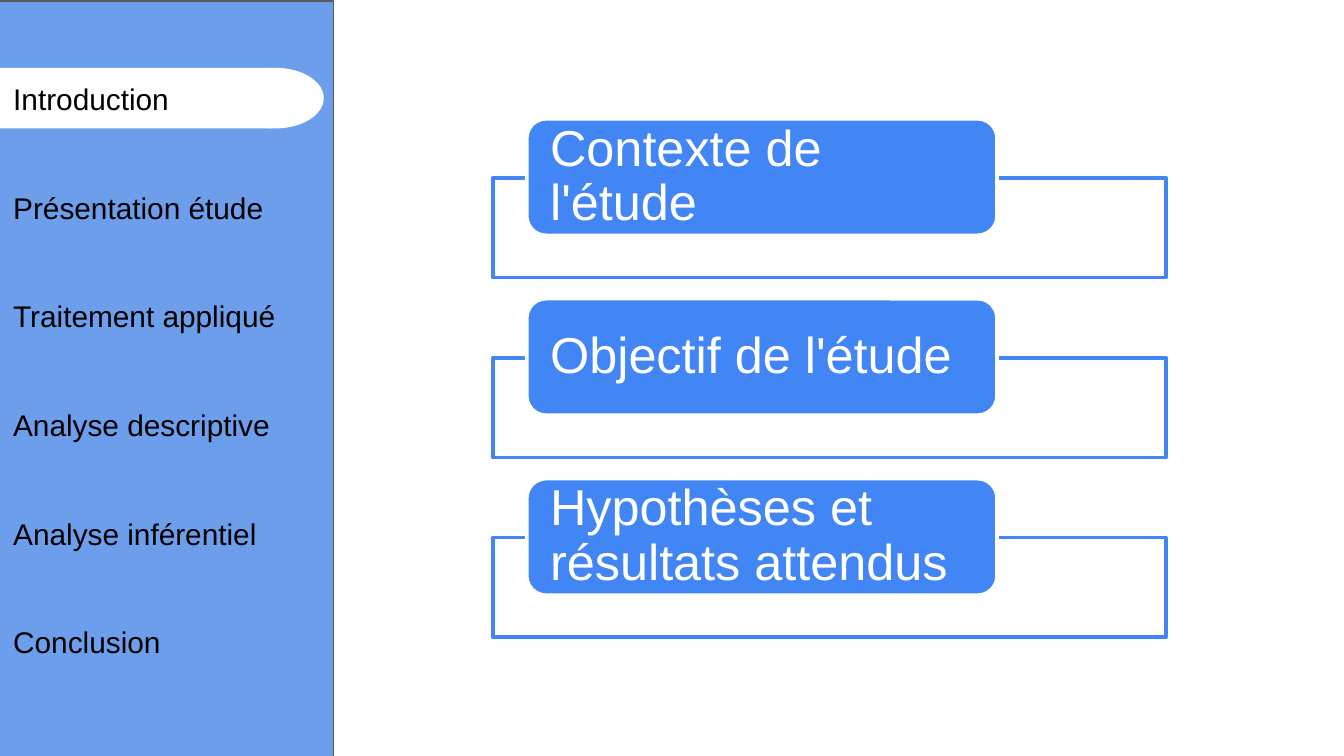
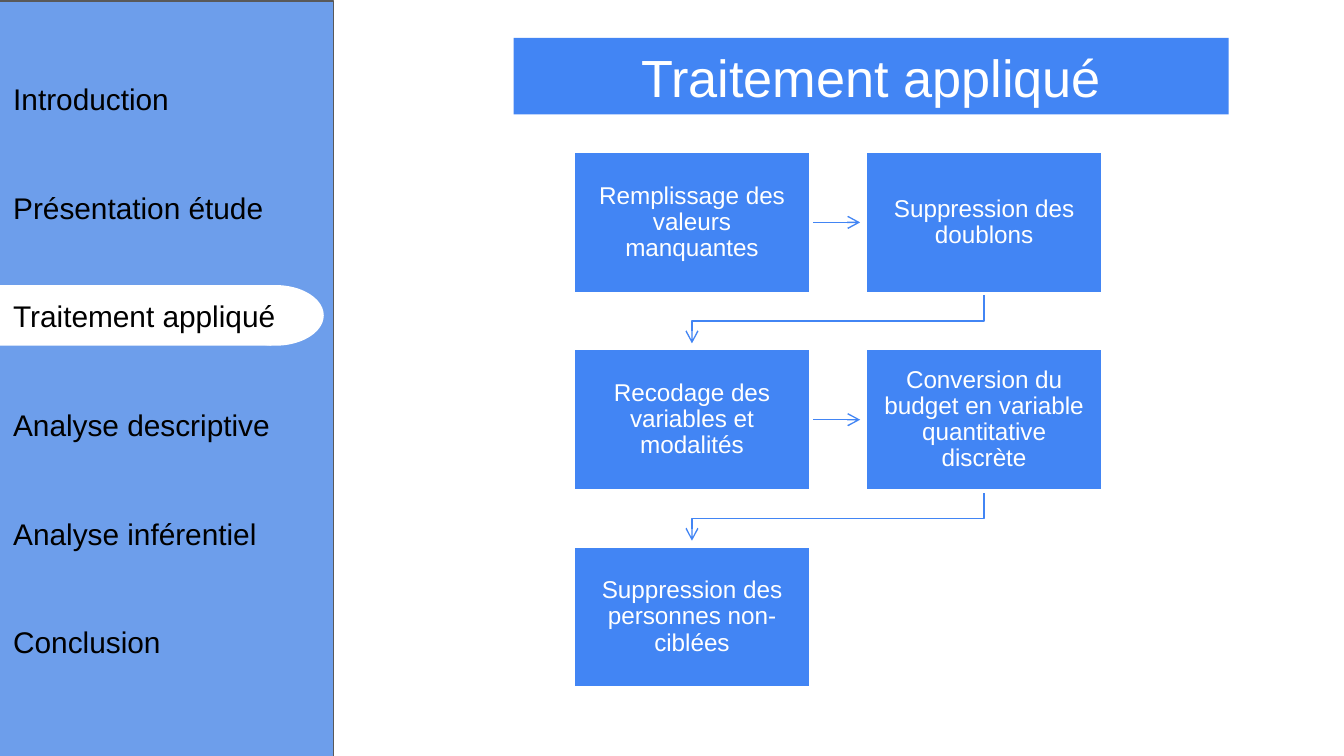
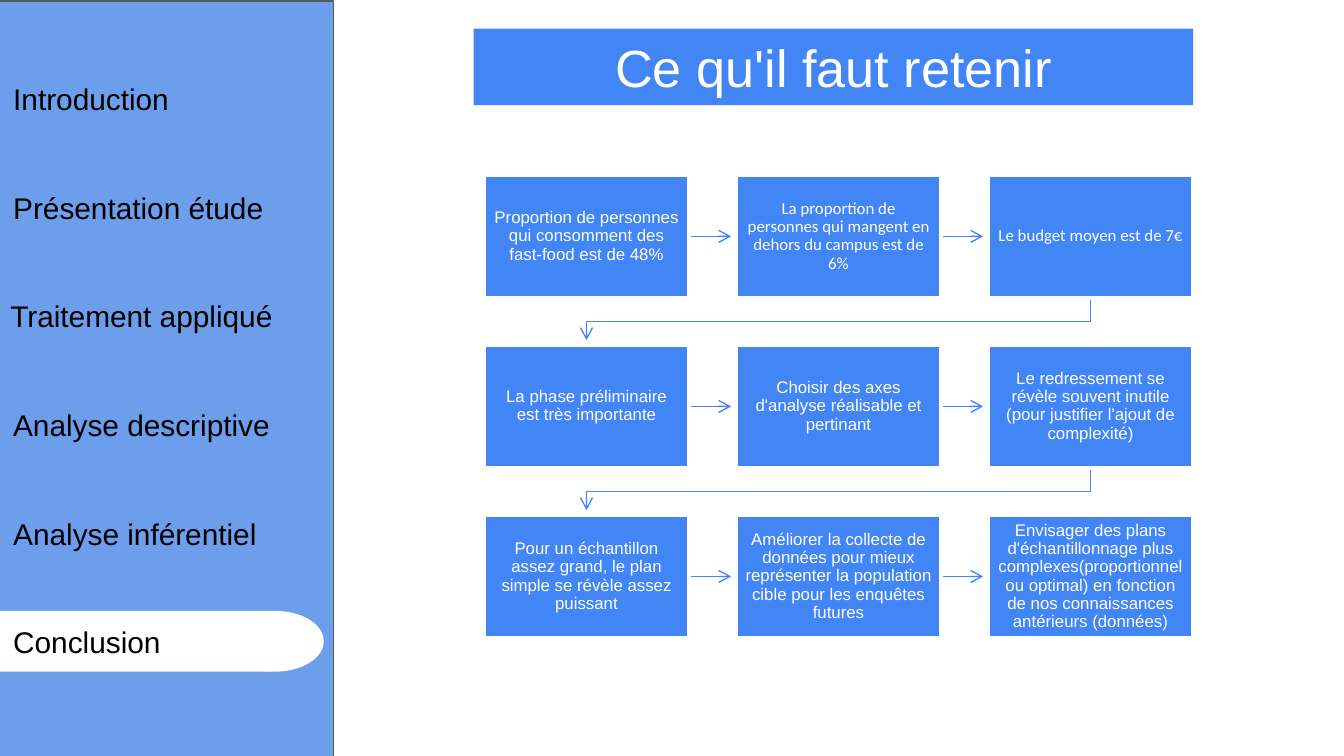
from lxml.etree import SubElement
from pptx import Presentation
from pptx.dml.color import RGBColor
from pptx.enum.shapes import MSO_CONNECTOR, MSO_SHAPE
from pptx.enum.text import MSO_ANCHOR, MSO_AUTO_SIZE, PP_ALIGN
from pptx.oxml.ns import qn
from pptx.util import Pt

BLUE, PALE_BLUE, GREY = "4285F4", "6D9EEB", "595959"
WHITE, BLACK = "FFFFFF", "000000"
TITLE_ONLY, BLANK = 5, 6

# Menu: label and width of its text box
MENU = [
    ("Introduction", 121),
    ("Présentation étude", 186.5),
    ("Traitement appliqué", 216),
    ("Analyse descriptive", 168.5),
    ("Analyse inférentiel", 167),
    ("Conclusion", 121),
]
MENU_TOP, MENU_STEP, MENU_HEIGHT = 36, 58.2, 32

TOPICS = ["Contexte de l'étude", "Objectif de l'étude", "Hypothèses et résultats attendus"]

TREATMENT_STEPS = [
    "Remplissage des valeurs manquantes",
    "Suppression des doublons",
    "Recodage des variables et modalités",
    "Conversion du budget en variable quantitative discrète",
    "Suppression des personnes non-ciblées",
]
TREATMENT_GRID = dict(columns=2, left=307, top=81, width=127.4, height=76.3,
                      step_x=156.5, step_y=105.7, size=13, margin=7.2)

TAKEAWAYS = [
    "Proportion de personnes qui consomment des fast-food est de 48%",
    "La proportion de personnes qui mangent en dehors du campus est de 6%",
    "Le budget moyen est de 7€",
    "La phase préliminaire est très importante",
    "Choisir des axes d'analyse réalisable et pertinant",
    "Le redressement se révèle souvent inutile (pour justifier l'ajout de complexité)",
    "Pour un échantillon assez grand, le plan simple se révèle assez puissant",
    "Améliorer la collecte de données pour mieux représenter la population cible "
    "pour les enquêtes futures",
    "Envisager des plans d'échantillonnage plus complexes(proportionnel ou optimal) "
    "en fonction de nos connaissances antérieurs (données)",
]
TAKEAWAY_GRID = dict(columns=3, left=259.4, top=93.8, width=109.6, height=65.7,
                     step_x=135, step_y=91.1, size=9, margin=5)


def color(value):
    return RGBColor.from_string(value)


def apply_format(target, values):
    for name, value in values.items():
        setattr(target, name, value)


def write_text(shape, text, size, font="Arial", text_color=WHITE, align=PP_ALIGN.CENTER,
               anchor=MSO_ANCHOR.MIDDLE, margins=(7.2, 7.2), line_spacing=1.0):
    side, edge = (Pt(margin) for margin in margins)
    frame = shape.text_frame
    apply_format(frame, dict(
        text=text, word_wrap=True, auto_size=MSO_AUTO_SIZE.NONE, vertical_anchor=anchor,
        margin_left=side, margin_right=side, margin_top=edge, margin_bottom=edge))
    paragraph = frame.paragraphs[0]
    apply_format(paragraph, dict(alignment=align, line_spacing=line_spacing))
    run_font = paragraph.runs[0].font
    apply_format(run_font, dict(name=font, size=Pt(size), bold=False))
    run_font.color.rgb = color(text_color)


def set_line(shape, line_color, width):
    shape.line.color.rgb = color(line_color)
    shape.line.width = Pt(width)


def add_box(slide, kind, bounds, fill, line=None):
    shape = slide.shapes.add_shape(kind, *map(Pt, bounds))
    shape.shadow.inherit = False
    shape.fill.solid()
    shape.fill.fore_color.rgb = color(fill)
    if line:
        set_line(shape, *line)
    else:
        shape.line.fill.background()
    return shape


def add_menu(slide, active, shifts=None):
    """Side band, with the active entry on a white tab."""
    add_box(slide, MSO_SHAPE.RECTANGLE, (-1.2, 0.5, 180, 405), PALE_BLUE, (GREY, 0.75))
    tab_top = MENU_TOP + active * MENU_STEP + 0.3
    add_box(slide, MSO_SHAPE.RECTANGLE, (-1.6, tab_top, 147, 32.5), WHITE)
    add_box(slide, MSO_SHAPE.OVAL, (121.5, tab_top, 52, 32.5), WHITE)
    for index, (label, width) in enumerate(MENU):
        left = (shifts or {}).get(index, 0)
        bounds = (left, MENU_TOP + index * MENU_STEP, width, MENU_HEIGHT)
        label_box = slide.shapes.add_textbox(*map(Pt, bounds))
        write_text(label_box, label, 16, text_color=BLACK, align=PP_ALIGN.LEFT,
                   anchor=MSO_ANCHOR.TOP)


def format_title(slide, text, left, top, width):
    title = slide.shapes.title
    apply_format(title, dict(left=Pt(left), top=Pt(top), width=Pt(width), height=Pt(41)))
    geometry = SubElement(title._element.spPr, qn("a:prstGeom"), prst="roundRect")
    SubElement(geometry, qn("a:avLst"))
    title.fill.solid()
    title.fill.fore_color.rgb = color(BLUE)
    write_text(title, text, 28)


def add_topic(slide, text, top):
    """Outlined frame with a rounded heading on its upper edge."""
    frame = add_box(slide, MSO_SHAPE.RECTANGLE, (264.2, top + 31.6, 360.3, 53.5), WHITE, (BLUE, 2))
    fill_color = frame._element.spPr.find(qn("a:solidFill"))[0]
    SubElement(fill_color, qn("a:alpha"), val="90000")
    heading = add_box(slide, MSO_SHAPE.ROUNDED_RECTANGLE, (282.2, top, 252, 62.5),
                      BLUE, (WHITE, 2))
    write_text(heading, text, 27, align=PP_ALIGN.LEFT, margins=(9.5, 0), line_spacing=0.9)


def finish_arrow(arrow, box):
    """Style the arrow and put it behind the box it leaves."""
    set_line(arrow, BLUE, 0.75)
    properties = arrow._element.spPr
    SubElement(properties.find(qn("a:ln")), qn("a:tailEnd"), type="arrow")
    SubElement(properties, qn("a:effectLst"))
    box._element.addprevious(arrow._element)


def add_straight_arrow(slide, box, next_box):
    middle = box.top + box.height // 2
    arrow = slide.shapes.add_connector(MSO_CONNECTOR.STRAIGHT, box.left + box.width, middle,
                                       next_box.left - Pt(2.7), middle)
    arrow.begin_connect(box, 3)
    finish_arrow(arrow, box)


def add_return_arrow(slide, box, next_box):
    """Bent arrow from the end of a row to the start of the next."""
    start_x = box.left + box.width // 2
    end_x = next_box.left + next_box.width // 2
    bottom = box.top + box.height
    bend = (bottom + next_box.top) // 2
    builder = slide.shapes.build_freeform(start_x, bottom)
    builder.add_line_segments(
        [(start_x, bend), (end_x, bend), (end_x, next_box.top - Pt(2.7))], close=False)
    arrow = builder.convert_to_shape()
    arrow.fill.background()
    finish_arrow(arrow, box)


def add_flow(slide, texts, grid, fonts=None):
    """Boxes filled row by row and linked in reading order."""
    boxes = []
    for index, text in enumerate(texts):
        row, column = divmod(index, grid["columns"])
        bounds = (grid["left"] + column * grid["step_x"], grid["top"] + row * grid["step_y"],
                  grid["width"], grid["height"])
        box = add_box(slide, MSO_SHAPE.RECTANGLE, bounds, BLUE, (WHITE, 2))
        write_text(box, text, grid["size"], font=(fonts or {}).get(index, "Arial"),
                   margins=(grid["margin"], grid["margin"]), line_spacing=0.9)
        boxes.append(box)
    for box, next_box in zip(boxes, boxes[1:]):
        add_arrow = add_straight_arrow if box.top == next_box.top else add_return_arrow
        add_arrow(slide, box, next_box)


def main():
    presentation = Presentation()
    apply_format(presentation, dict(slide_width=Pt(720), slide_height=Pt(405)))
    layouts = presentation.slide_layouts

    # Introduction
    slide = presentation.slides.add_slide(layouts[BLANK])
    add_menu(slide, 0)
    for index, topic in enumerate(TOPICS):
        add_topic(slide, topic, 63.6 + index * 96.4)

    # Treatment
    slide = presentation.slides.add_slide(layouts[TITLE_ONLY])
    add_menu(slide, 2)
    format_title(slide, "Traitement appliqué", 275.2, 20.3, 383)
    add_flow(slide, TREATMENT_STEPS, TREATMENT_GRID)

    # Conclusion
    slide = presentation.slides.add_slide(layouts[TITLE_ONLY])
    add_menu(slide, 5, shifts={2: -1.5})
    format_title(slide, "Ce qu'il faut retenir", 253.7, 15.3, 385.5)
    add_flow(slide, TAKEAWAYS, TAKEAWAY_GRID, fonts={1: "Calibri", 2: "Calibri"})

    presentation.save("out.pptx")


if __name__ == "__main__":
    main()
